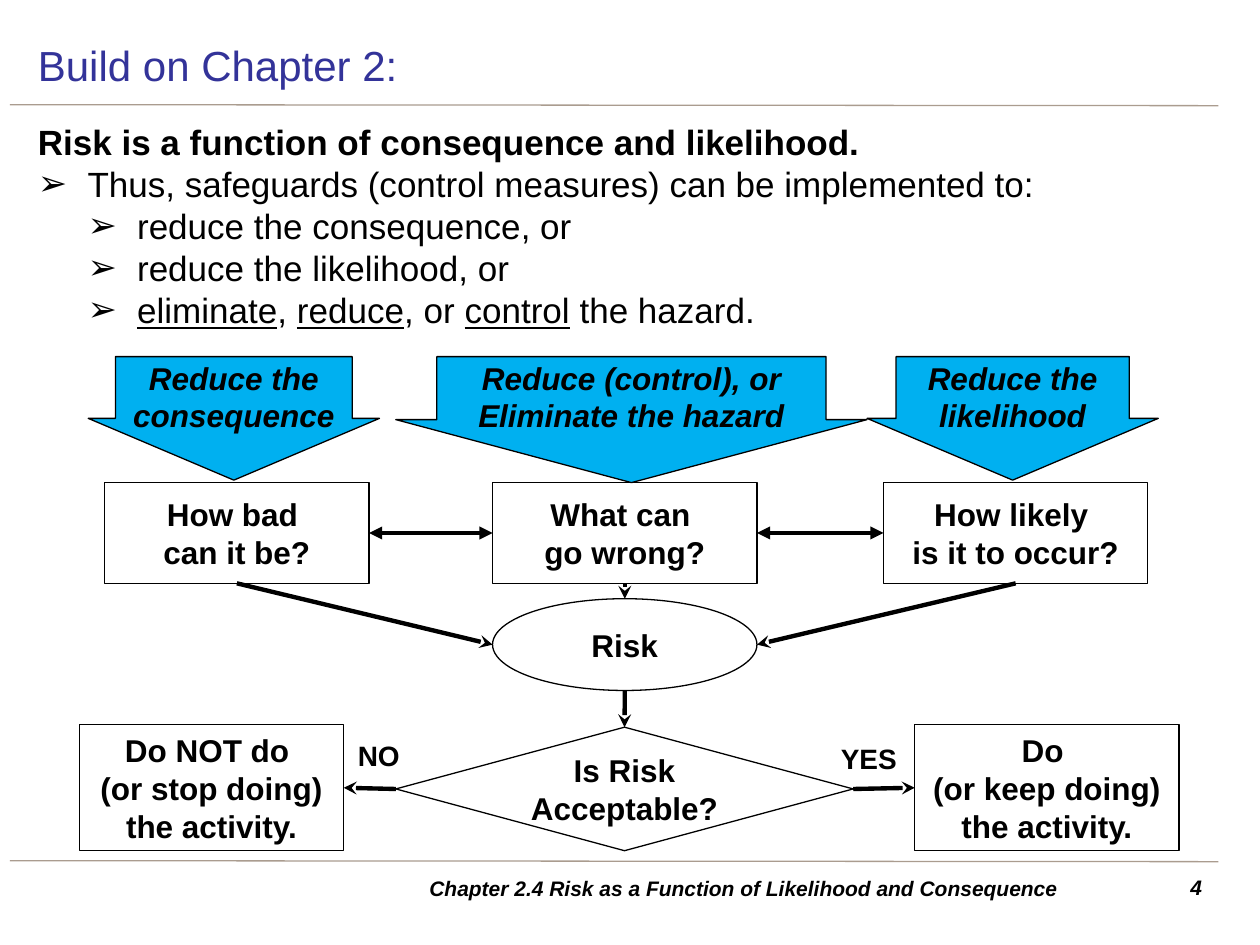
from dataclasses import dataclass
from lxml import etree
from pptx import Presentation
from pptx.dml.color import RGBColor
from pptx.enum.shapes import MSO_CONNECTOR, MSO_SHAPE
from pptx.enum.text import MSO_ANCHOR, MSO_AUTO_SIZE, PP_ALIGN
from pptx.oxml.ns import qn
from pptx.util import Cm, Pt

LEFT, MID, RIGHT = PP_ALIGN.LEFT, PP_ALIGN.CENTER, PP_ALIGN.RIGHT
TOP, MIDDLE = MSO_ANCHOR.TOP, MSO_ANCHOR.MIDDLE
FIXED = MSO_AUTO_SIZE.NONE
RECT, OVAL = MSO_SHAPE.RECTANGLE, MSO_SHAPE.OVAL
DIAMOND, DOWN = MSO_SHAPE.DIAMOND, MSO_SHAPE.DOWN_ARROW
STRAIGHT = MSO_CONNECTOR.STRAIGHT


@dataclass(frozen=True)
class Theme:
    """Colours, font and type sizes of the slide."""
    font: str = "Arial"
    ink: str = "000000"
    title: str = "333399"
    paper: str = "FFFFFF"
    arrow: str = "00B0F0"
    rule: str = "AA9C8F"
    head: int = 24
    body: int = 20
    node: int = 18
    label: int = 16
    foot: int = 12
    thin: float = 0.75
    thick: float = 2.5


THEME = Theme()


def rgb(code):
    """Turn a hex code into a colour."""
    return RGBColor.from_string(code)


def put(para, text, size, bold=False, italic=False, under=False, color=THEME.ink):
    """Add one formatted run to a paragraph."""
    run = para.add_run()
    run.text = text
    font = run.font
    font.name, font.size, font.color.rgb = THEME.font, Pt(size), rgb(color)
    font.bold, font.italic, font.underline = bold, italic, under


def fill(frame, paras, size, align=MID, anchor=MIDDLE, **style):
    """Write paragraphs, each a list of lines, into a text frame."""
    frame.word_wrap, frame.auto_size = True, FIXED
    frame.vertical_anchor = anchor
    for i, lines in enumerate(paras):
        para = frame.add_paragraph() if i else frame.paragraphs[0]
        para.alignment = align
        for j, line in enumerate(lines):
            if j:
                para.add_line_break()
            put(para, line, size, **style)


def place(shape, box):
    """Move a shape to a box given in centimetres."""
    shape.left, shape.top, shape.width, shape.height = map(Cm, box)


def note(slide, box, text, size, **style):
    """Add a one-line text box."""
    area = slide.shapes.add_textbox(*map(Cm, box))
    fill(area.text_frame, [[text]], size, bold=True, **style)


def node(slide, kind, box, paras, color=THEME.paper, **style):
    """Add an outlined shape with bold text."""
    shape = slide.shapes.add_shape(kind, *map(Cm, box))
    shape.shadow.inherit = False
    shape.fill.solid()
    shape.fill.fore_color.rgb = rgb(color)
    shape.line.color.rgb, shape.line.width = rgb(THEME.ink), Pt(THEME.thin)
    fill(shape.text_frame, paras, THEME.node, bold=True, **style)
    return shape


def draw(slide, start, end, color, width, head=None, tail=None):
    """Add a straight line with optional arrowheads."""
    line = slide.shapes.add_connector(STRAIGHT, *start, *end)
    line.line.color.rgb, line.line.width = rgb(color), Pt(width)
    etree.SubElement(line._element.spPr, qn("a:effectLst"))
    for tag, kind in (("a:headEnd", head), ("a:tailEnd", tail)):
        if kind:
            etree.SubElement(line.line._get_or_add_ln(), qn(tag), type=kind)


def side(shape, name):
    """Find the middle of one side of a shape."""
    dx, dy = {"n": (1, 0), "s": (1, 2), "w": (0, 1), "e": (2, 1)}[name]
    return shape.left + shape.width * dx // 2, shape.top + shape.height * dy // 2


def join(slide, a, out, b, into, tail="stealth", head=None):
    """Link the sides of two shapes with an arrow."""
    draw(slide, side(a, out), side(b, into), THEME.ink, THEME.thick, head, tail)


def rule(slide, x, y, wide):
    """Add a thin dividing line."""
    draw(slide, (Cm(x), Cm(y)), (Cm(x + wide), Cm(y + 0.02)), THEME.rule, THEME.thin)


def header(slide, box):
    """Place the title and the line below it."""
    x, y, wide, tall = box
    title = slide.shapes.title
    place(title, box)
    fill(title.text_frame, [["Build on Chapter 2:"]], THEME.head, LEFT, color=THEME.title)
    rule(slide, x - 0.31, y + tall + 0.1, wide + 0.36)


def points(slide, box):
    """Fill the body with the claim and its bullets."""
    body = slide.placeholders[1]
    place(body, box)
    frame = body.text_frame
    frame.word_wrap, frame.auto_size, frame.vertical_anchor = True, FIXED, TOP
    items = [
        (0, ["Risk is a function of consequence and likelihood."]),
        (1, ["Thus, safeguards (control measures) can be implemented to:"]),
        (2, ["reduce the consequence, or"]),
        (2, ["reduce the likelihood, or"]),
        (2, ["_eliminate", ", ", "_reduce", ", or ", "_control", " the hazard."]),
    ]
    for i, (depth, parts) in enumerate(items):
        para = frame.add_paragraph() if i else frame.paragraphs[0]
        para.alignment, para.level = LEFT, max(depth - 1, 0)
        para.line_spacing, para.space_before, para.space_after = Pt(24), Pt(0), Pt(0)
        props = para._p.get_or_add_pPr()
        props.set("marL", str(Cm(depth)))
        props.set("indent", str(-Cm(1) if depth else 0))
        if depth:
            etree.SubElement(props, qn("a:buChar"), char="➢")
        else:
            etree.SubElement(props, qn("a:buNone"))
        for part in parts:
            put(para, part.lstrip("_"), THEME.body, bold=not depth, under=part[0] == "_")


def chart(slide, box):
    """Draw the risk flow from questions to decision."""
    x, y, wide, tall = box
    col = 5.33
    mid = x + 8.33
    ask = [
        node(slide, RECT, (left, y + 2.54, col, 2.03), [lines])
        for left, lines in (
            (x + 0.51, ["How bad ", "can it be?"]),
            (mid, ["What can ", "go wrong?"]),
            (x + 16.21, ["How likely ", "is it to occur?"]),
        )
    ]
    risk = node(slide, OVAL, (mid, y + 4.88, col, 1.85), [["Risk"]])
    test = node(slide, DIAMOND, (x + 6.38, y + 7.47, 9.22, 2.49), [["Is Risk Acceptable?"]])
    stop, keep = [
        node(slide, RECT, (left, y + tall - 2.54, col, 2.54), [lines, ["the activity."]])
        for left, lines in (
            (x, ["Do NOT do ", "(or stop doing)"]),
            (x + wide - col, ["Do ", "(or keep doing)"]),
        )
    ]
    for a, b in zip(ask, ask[1:]):
        join(slide, a, "e", b, "w", "triangle", "triangle")
    for shape, into in zip(ask, "wne"):
        join(slide, shape, "s", risk, into)
    join(slide, risk, "s", test, "n")
    join(slide, test, "w", stop, "e")
    join(slide, test, "e", keep, "w")
    note(slide, (x + 5.11, y + 7.57, 1.85, 0.94), "NO", THEME.label)
    note(slide, (x + 14.99, y + 7.62, 1.85, 0.94), "YES", THEME.label)
    for left, span, high, stem, text in (
        (0.18, 5.87, 2.49, 0.813, "Reduce the consequence"),
        (15.88, 5.87, 2.49, 0.801, "Reduce the likelihood"),
        (6.38, 9.5, 2.54, 0.826, "Reduce (control), or Eliminate the hazard"),
    ):
        arrow = node(slide, DOWN, (x + left, y, span, high), [[text]],
                     THEME.arrow, anchor=TOP, italic=True)
        arrow.adjustments[0], arrow.adjustments[1] = stem, 0.5
        arrow.text_frame.margin_top = Cm(0.04)


def footer(slide, box):
    """Place the bottom line, chapter name and page number."""
    x, y, wide, tall = box
    rule(slide, x, y, wide)
    note(slide, (x + 7.29, y + 0.15, 15.01, tall), "Chapter 2.4 Risk as a Function of Likelihood and Consequence",
         THEME.foot, italic=True)
    note(slide, (x + 22.81, y + 0.15, 1.47, tall), "4", THEME.foot,
         align=RIGHT, anchor=TOP, italic=True)


def main():
    """Build and save the slide."""
    deck = Presentation()
    deck.slide_width, deck.slide_height = Cm(25.4), Cm(19.05)
    slide = deck.slides.add_slide(deck.slide_layouts[1])
    header(slide, (0.51, 0.61, 24, 1.4))
    points(slide, (0.51, 2.31, 24, 14.81))
    chart(slide, (1.6, 7.19, 22.17, 9.96))
    footer(slide, (0.2, 17.35, 24.36, 0.79))
    deck.save("out.pptx")


if __name__ == "__main__":
    main()
